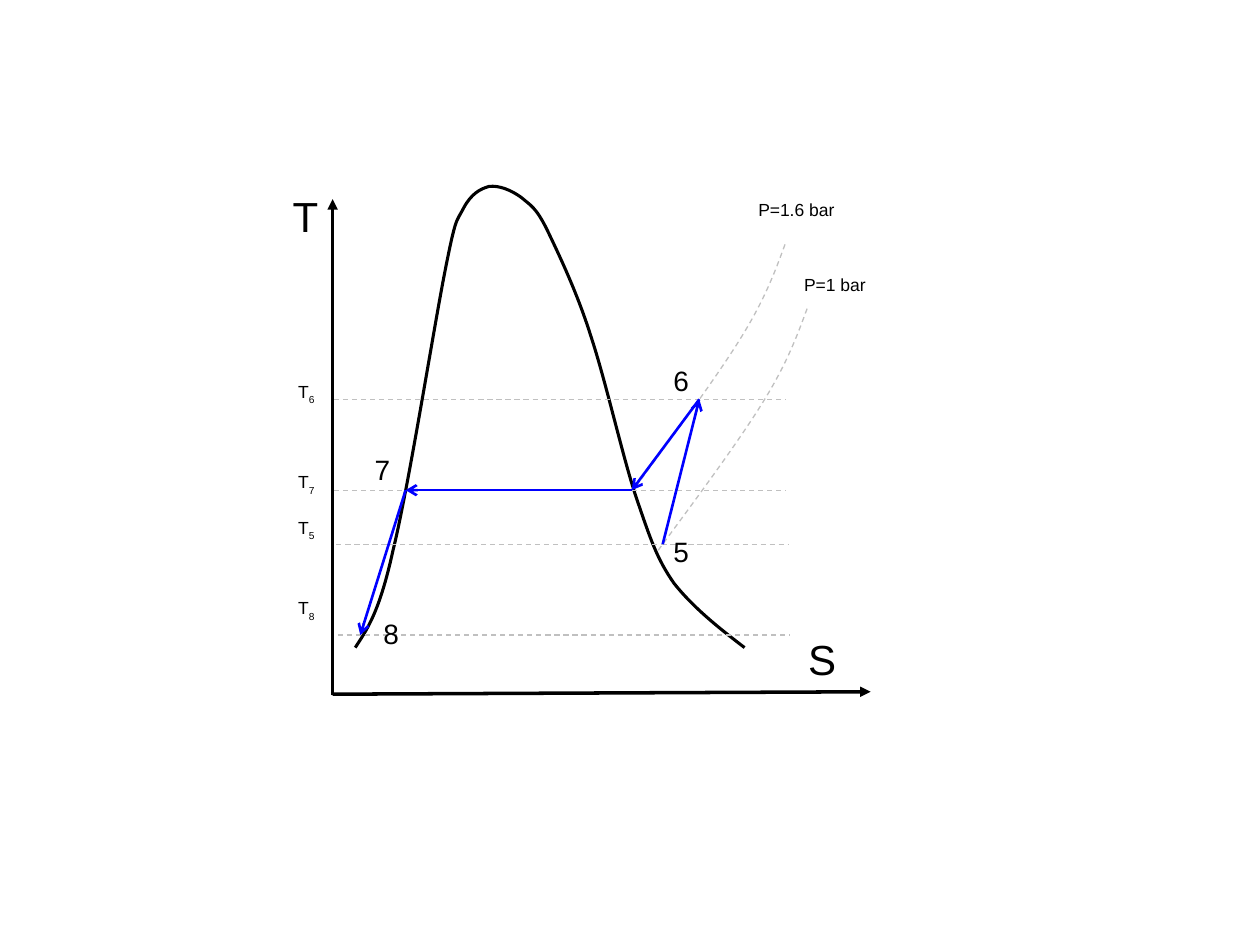
from lxml.etree import SubElement
from pptx import Presentation
from pptx.dml.color import RGBColor
from pptx.enum.dml import MSO_LINE
from pptx.enum.shapes import MSO_CONNECTOR
from pptx.enum.text import MSO_ANCHOR, PP_ALIGN
from pptx.oxml.ns import qn
from pptx.util import Pt

BLACK = RGBColor(0x00, 0x00, 0x00)
GREY = RGBColor(0xC0, 0xC0, 0xC0)
BLUE = RGBColor(0x00, 0x00, 0xFF)

DOME_LINE = {"width": Pt(1.75)}
AXIS_LINE = {"width": Pt(2)}
GUIDE_LINE = {"width": Pt(0.75), "dash_style": MSO_LINE.DASH}
CYCLE_LINE = {"width": Pt(1.5)}

DOME = [
    (203, 370.1), (209.5, 360), (216.7, 350.6), (224.6, 314.6),
    (233.3, 279.4), (247.7, 188.6), (254.2, 155.5),
    (260.6, 123.1), (260.6, 127.4), (265, 118.8),
    (269.3, 110.9), (274.3, 108), (279.4, 106.6),
    (285.1, 105.8), (292.3, 108.7), (298.1, 113),
    (303.1, 117.4), (306, 118.1), (312.5, 131),
    (319, 144.7), (329.8, 167), (337.7, 192.2),
    (346.3, 218.2), (355.7, 260.6), (363.6, 284.4),
    (371.5, 307.4), (375.1, 319), (385.2, 333.4),
    (396, 347), (410.4, 358.6), (425.5, 370.1),
]
ISOBAR = [
    (448.6, 139.7), (442.8, 155.5), (437, 171.4), (422.6, 194.4),
    (408.2, 217.4), (385.2, 248.4), (362.9, 278.6),
]
ISOBAR_OFFSETS = [(0, 0), (12.6, 36.7)]

AXES = [((190.1, 396.7), (497.5, 395.3)), ((190.1, 397.4), (190.1, 113.8))]
GUIDE_LENGTH = 258.5
# state: guide start, guide height, label top
LEVELS = {
    "7": (190.8, 280.1, 266.4),
    "6": (190.8, 228.2, 214.6),
    "5": (192.2, 311, 292.3),
    "8": (193, 362.9, 338.4),
}
CYCLE = [(378.7, 311), (399.6, 228.2), (361.1, 280.1), (231.8, 280.1), (205.9, 362.9)]
STATE_LABELS = {"5": (378.7, 302.4), "6": (378.7, 204.5), "7": (208.1, 255.6), "8": (213.1, 349.2)}
OTHER_LABELS = [
    ("S", (455.8, 359.3, 27.4, 46.1), 24),
    ("T", (161.3, 105.8, 25.9, 46.1), 24),
    ("P=1 bar", (442.8, 153.4, 68.4, 33.1), 10),
    ("P=1.6 bar", (420.5, 110.9, 69.1, 60.5), 10),
]


def apply_format(target, values):
    """Set every attribute named in values on target."""
    for name, value in values.items():
        setattr(target, name, value)


def add_stroke(diagram, start, end, color, line_format, arrowhead=None):
    """Draw a straight line, with an arrowhead at its end if one is named."""
    stroke = diagram.add_connector(MSO_CONNECTOR.STRAIGHT, *map(Pt, start + end))
    stroke.line.color.rgb = color
    apply_format(stroke.line, line_format)
    properties = stroke._element.spPr
    if arrowhead:
        SubElement(properties.find(qn("a:ln")), qn("a:tailEnd"), type=arrowhead)
    SubElement(properties, qn("a:effectLst"))


def add_curve(diagram, points, color, line_format):
    """Draw an open chain of cubic curves through start, control and end points."""
    start, *rest = [(Pt(x), Pt(y)) for x, y in points]
    builder = diagram.build_freeform(*start)
    builder.add_line_segments(rest, close=False)
    curve = builder.convert_to_shape()
    outline = curve._element.spPr.find(".//" + qn("a:path"))
    segments = outline.findall(qn("a:lnTo"))
    for first in range(0, len(segments), 3):
        cubic = SubElement(outline, qn("a:cubicBezTo"))
        for segment in segments[first:first + 3]:
            cubic.append(segment[0])
            outline.remove(segment)
    curve.fill.background()
    curve.line.color.rgb = color
    apply_format(curve.line, line_format)
    curve.shadow.inherit = False


def add_label(diagram, text, box, size, subscript=""):
    """Write a centred label, with an optional subscript."""
    frame = diagram.add_textbox(*map(Pt, box)).text_frame
    apply_format(frame, {
        "word_wrap": True, "vertical_anchor": MSO_ANCHOR.TOP,
        "margin_left": Pt(6), "margin_right": Pt(6),
        "margin_top": Pt(3), "margin_bottom": Pt(3),
    })
    paragraph = frame.paragraphs[0]
    paragraph.alignment = PP_ALIGN.CENTER
    for part in filter(None, (text, subscript)):
        run = paragraph.add_run()
        run.text = part
        apply_format(run.font, {"name": "Arial", "size": Pt(size)})
        run.font.color.rgb = BLACK
    if subscript:
        run._r.get_or_add_rPr().set("baseline", "-30000")


def main():
    """Build the temperature-entropy diagram."""
    deck = Presentation()
    apply_format(deck, {"slide_width": Pt(720), "slide_height": Pt(540)})
    slide = deck.slides.add_slide(deck.slide_layouts[6])
    diagram = slide.shapes.add_group_shape().shapes

    add_curve(diagram, DOME, BLACK, DOME_LINE)
    for start, end in AXES:
        add_stroke(diagram, start, end, BLACK, AXIS_LINE, "triangle")
    for state, (left, height, label_top) in LEVELS.items():
        add_stroke(diagram, (left, height), (left + GUIDE_LENGTH, height), GREY, GUIDE_LINE)
        add_label(diagram, "T", (161.3, label_top, 27.4, 60.5), 10, state)
    for dx, dy in ISOBAR_OFFSETS:
        add_curve(diagram, [(x + dx, y + dy) for x, y in ISOBAR], GREY, GUIDE_LINE)
    for start, end in zip(CYCLE, CYCLE[1:]):
        add_stroke(diagram, start, end, BLUE, CYCLE_LINE, "arrow")
    for state, (left, top) in STATE_LABELS.items():
        add_label(diagram, state, (left, top, 20.9, 33.1), 16)
    for text, box, size in OTHER_LABELS:
        add_label(diagram, text, box, size)

    deck.save("out.pptx")


if __name__ == "__main__":
    main()
